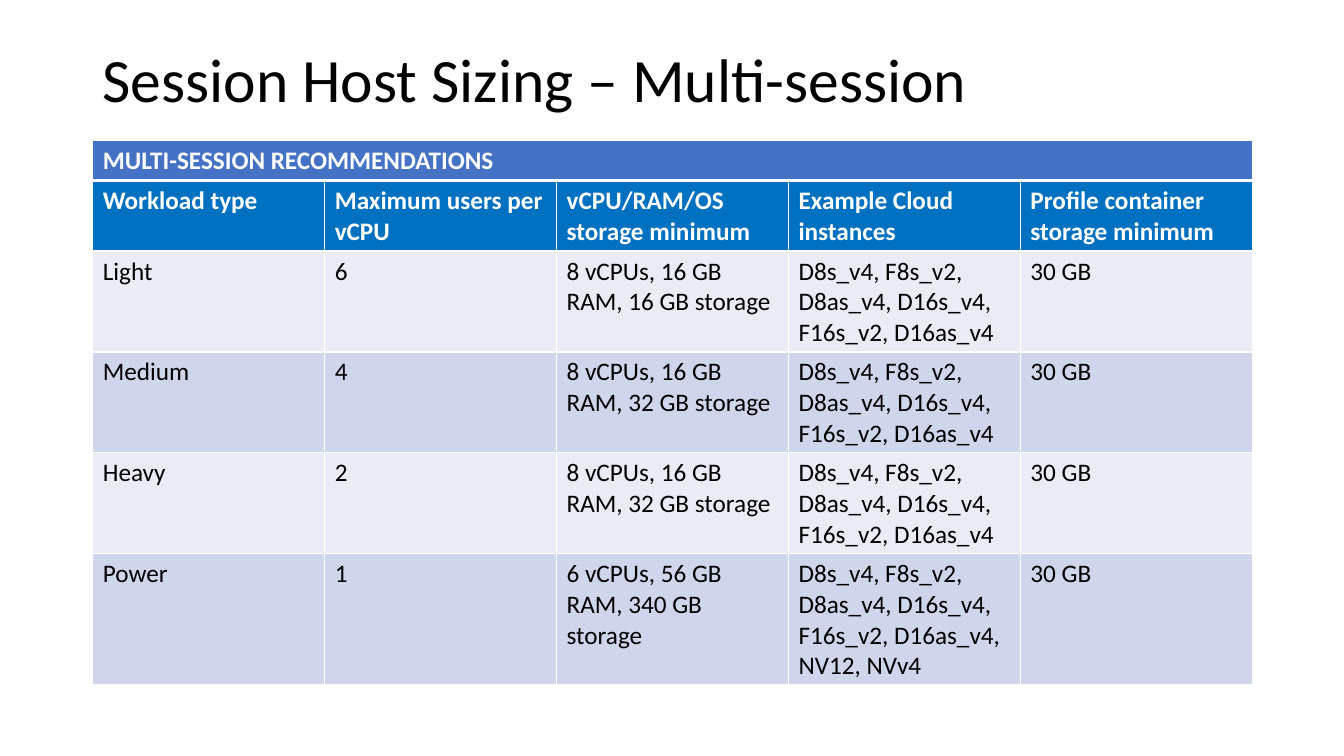
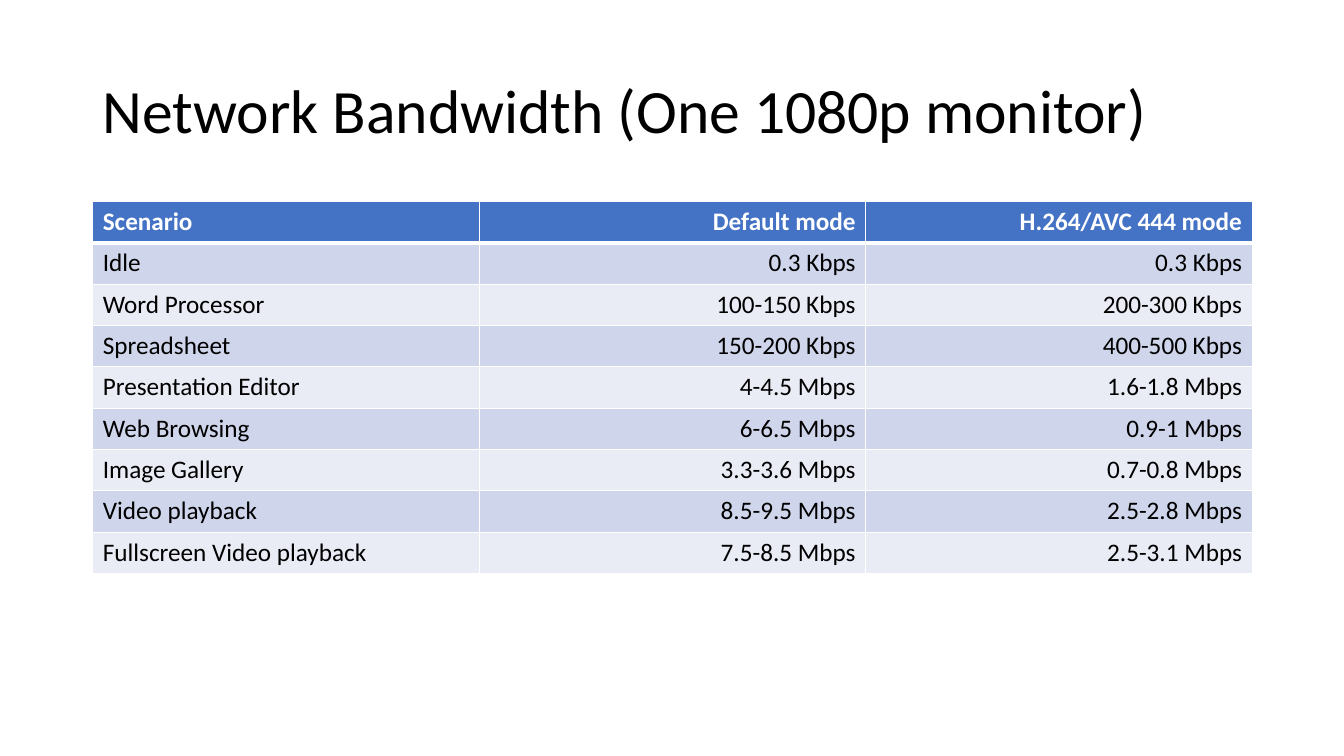
from lxml import etree
from pptx import Presentation
from pptx.dml.color import RGBColor
from pptx.enum.text import MSO_ANCHOR, PP_ALIGN
from pptx.oxml.ns import qn
from pptx.util import Inches, Pt

MIDDLE = MSO_ANCHOR.MIDDLE
LEFT, RIGHT = PP_ALIGN.LEFT, PP_ALIGN.RIGHT

FONT = "Calibri"
BLACK = RGBColor(0x00, 0x00, 0x00)
WHITE = RGBColor(0xFF, 0xFF, 0xFF)
HEADER_BLUE = RGBColor(0x44, 0x72, 0xC4)
SUBHEADER_BLUE = RGBColor(0x00, 0x70, 0xC0)
BANDS = (RGBColor(0xE9, 0xEB, 0xF5), RGBColor(0xCF, 0xD5, 0xEA))

# Both slides share the same left edge and content width
MARGIN = Inches(0.92)
CONTENT_WIDTH = Inches(11.5)
TITLE_TOP = Inches(0.4)

INSTANCES = "D8s_v4, F8s_v2, D8as_v4, D16s_v4, F16s_v2, D16as_v4"
SIZING_ROWS = [
    ("MULTI-SESSION RECOMMENDATIONS", "", "", "", ""),
    ("Workload type", "Maximum users per vCPU", "vCPU/RAM/OS storage minimum",
     "Example Cloud instances", "Profile container storage minimum"),
    ("Light", "6", "8 vCPUs, 16 GB RAM, 16 GB storage", INSTANCES, "30 GB"),
    ("Medium", "4", "8 vCPUs, 16 GB RAM, 32 GB storage", INSTANCES, "30 GB"),
    ("Heavy", "2", "8 vCPUs, 16 GB RAM, 32 GB storage", INSTANCES, "30 GB"),
    ("Power", "1", "6 vCPUs, 56 GB RAM, 340 GB storage",
     INSTANCES + ", NV12, NVv4", "30 GB"),
]
SIZING_HEIGHTS = [0.4, 0.7, 1, 1, 1, 1.3]

BANDWIDTH_ROWS = [
    ("Scenario", "Default mode", "H.264/AVC 444 mode"),
    ("Idle", "0.3 Kbps", "0.3 Kbps"),
    ("Word Processor", "100-150 Kbps", "200-300 Kbps"),
    ("Spreadsheet", "150-200 Kbps", "400-500 Kbps"),
    ("Presentation Editor", "4-4.5 Mbps", "1.6-1.8 Mbps"),
    ("Web Browsing", "6-6.5 Mbps", "0.9-1 Mbps"),
    ("Image Gallery", "3.3-3.6 Mbps", "0.7-0.8 Mbps"),
    ("Video playback", "8.5-9.5 Mbps", "2.5-2.8 Mbps"),
    ("Fullscreen Video playback", "7.5-8.5 Mbps", "2.5-3.1 Mbps"),
]
BANDWIDTH_HEIGHTS = [0.41] * len(BANDWIDTH_ROWS)


def style_font(paragraph, size, color, bold=False):
    font = paragraph.font
    font.name, font.size, font.bold = FONT, Pt(size), bold
    font.color.rgb = color


def add_title(slide, text, height):
    title = slide.shapes.add_textbox(MARGIN, TITLE_TOP, CONTENT_WIDTH, Inches(height))
    frame = title.text_frame
    frame.word_wrap = True
    frame.vertical_anchor = MIDDLE
    paragraph = frame.paragraphs[0]
    paragraph.text = text
    paragraph.line_spacing = 0.9
    style_font(paragraph, 44, BLACK)


def set_borders(cell, top=1, bottom=1):
    """White rules on all four sides, widths in points."""
    properties = cell._tc.get_or_add_tcPr()
    for side, width in (("L", 1), ("R", 1), ("T", top), ("B", bottom)):
        line = etree.SubElement(properties, qn(f"a:ln{side}"), w=str(Pt(width)))
        fill = etree.SubElement(line, qn("a:solidFill"))
        etree.SubElement(fill, qn("a:srgbClr"), val=str(WHITE))


def add_banded_table(slide, top, rows, heights, header_fills, value_align=LEFT):
    """Header rows take header_fills in turn; the rows below alternate bands."""
    frame = slide.shapes.add_table(len(rows), len(rows[0]), MARGIN, Inches(top),
                                   CONTENT_WIDTH, Inches(sum(heights)))
    table = frame.table
    table.first_row = table.horz_banding = False
    for r, (values, height) in enumerate(zip(rows, heights)):
        table.rows[r].height = Inches(height)
        is_header = r < len(header_fills)
        for c, value in enumerate(values):
            cell = table.cell(r, c)
            # A thick rule separates the first row from the rest
            set_borders(cell, top=3 if r == 1 else 1, bottom=3 if r == 0 else 1)
            cell.fill.solid()
            cell.fill.fore_color.rgb = header_fills[r] if is_header else BANDS[r % 2]
            paragraph = cell.text_frame.paragraphs[0]
            paragraph.text = value
            paragraph.alignment = value_align if c else LEFT
            style_font(paragraph, 18, WHITE if is_header else BLACK, is_header)
    return table


def build_sizing(slide):
    add_title(slide, "Session Host Sizing – Multi-session", 0.83)
    table = add_banded_table(slide, 1.39, SIZING_ROWS, SIZING_HEIGHTS,
                             [HEADER_BLUE, SUBHEADER_BLUE])
    # Heading across all columns
    heading = table.cell(0, 0)
    heading.merge(table.cell(0, len(SIZING_ROWS[0]) - 1))
    heading.vertical_anchor = MIDDLE


def build_bandwidth(slide):
    add_title(slide, "Network Bandwidth (One 1080p monitor)", 1.45)
    add_banded_table(slide, 2, BANDWIDTH_ROWS, BANDWIDTH_HEIGHTS,
                     [HEADER_BLUE], value_align=RIGHT)


def main():
    presentation = Presentation()
    presentation.slide_width = Inches(13.33)
    presentation.slide_height = Inches(7.5)
    blank = presentation.slide_layouts[6]
    for build in (build_sizing, build_bandwidth):
        build(presentation.slides.add_slide(blank))
    presentation.save("out.pptx")


if __name__ == "__main__":
    main()
